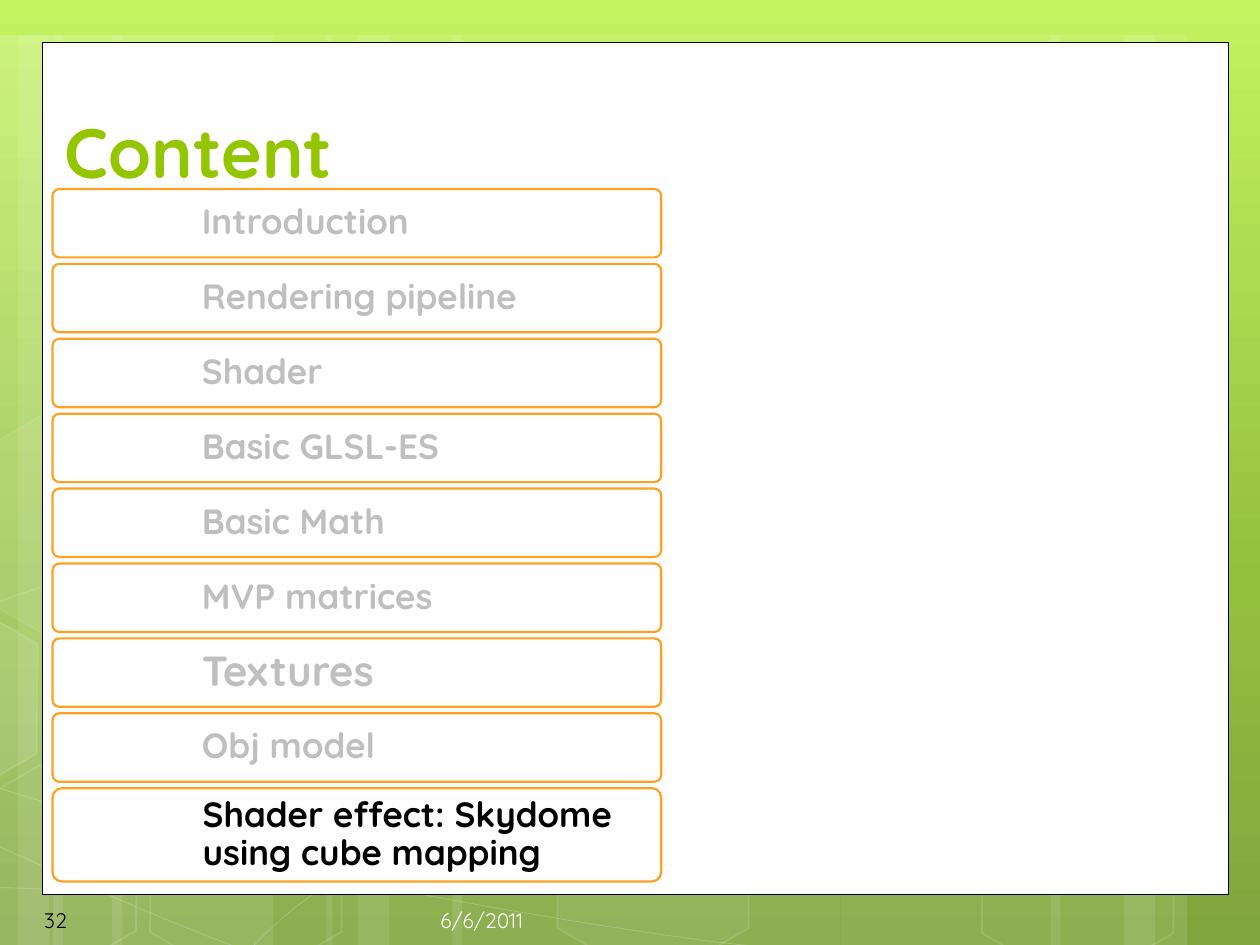
from copy import deepcopy
from typing import NamedTuple

from lxml import etree
from pptx import Presentation
from pptx.dml.color import RGBColor
from pptx.enum import shapes as kinds, text as txt
from pptx.oxml.ns import qn
from pptx.util import Cm, Pt

FONT = "Quicksand"
WHITE = RGBColor(0xFF, 0xFF, 0xFF)
BLACK = RGBColor(0, 0, 0)
GREEN = RGBColor(0x94, 0xC6, 0x00)
AMBER = RGBColor(0xFE, 0xA0, 0x22)
GREY = RGBColor(0xBF, 0xBF, 0xBF)
PALE = RGBColor(0xFE, 0xFE, 0xFE)
LIME = RGBColor(0xC3, 0xF3, 0x5F)
LEAF = RGBColor(0x93, 0xBF, 0x3F)
MOSS = RGBColor(0x81, 0xA5, 0x3E)

MID, LOW = txt.MSO_ANCHOR.MIDDLE, txt.MSO_ANCHOR.BOTTOM
LEFT, RIGHT = txt.PP_ALIGN.LEFT, txt.PP_ALIGN.RIGHT


class Band(NamedTuple):
    left: float
    width: float


class Hex(NamedTuple):
    left: float
    top: float
    fill: int  # opacity in percent, 0 for none
    line: int


class Item(NamedTuple):
    label: str
    size: int = 20
    color: RGBColor = GREY
    height: float = 1.38


BANDS = [Band(0, 1.27), Band(0, 0.99), Band(0.36, 2.11), Band(1.07, 4.44),
         Band(2.26, 4.44), Band(16.94, 4.44), Band(22.66, 1.27),
         Band(21.18, 2.11), Band(9.12, 7.82), Band(6.58, 1.27),
         Band(7.21, 2.11)]

# Each curve is a start point followed by three points per Bezier segment.
CURVES = [
    [(-1.5, 17.81), (-0.13, 17.88), (1.24, 17.98), (3.15, 17.93)],
    [(-1.5, 12.83), (-0.74, 12.45), (-0.02, 12.04), (1.4, 11.68)],
    [(-1.52, 16.38), (1.55, 17.78), (4.6, 19.18), (6.82, 19.76)],
    [(-1.5, 15.39), (-0.71, 15.67), (0.1, 15.95), (1.57, 16.36),
     (3.05, 16.76), (5.26, 17.37), (7.37, 17.81), (9.5, 18.24),
     (12.17, 18.69), (14.27, 18.97), (16.38, 19.23), (18.64, 19.33),
     (19.99, 19.43)],
    [(4.47, 19.76), (4.93, 19.25), (5.38, 18.75), (5.99, 18.26),
     (6.6, 17.81), (7.47, 17.3), (8.18, 16.94)],
]

CUT_HEX = [(-1.47, 12.01), (-1.19, 11.86), (0.76, 12.98), (0.74, 15.19),
           (-1.17, 16.31), (-1.47, 16.15)]

HEXES = [Hex(10.95, 15.67, 6, 12), Hex(-1.4, 15.72, 0, 12),
         Hex(-1.32, 8.64, 7, 8), Hex(2.74, 15.75, 0, 12),
         Hex(19.51, 15.77, 0, 12)]

ITEMS = [Item("Introduction"), Item("Rendering pipeline"), Item("Shader"),
         Item("Basic GLSL-ES"), Item("Basic Math"), Item("MVP matrices"),
         Item("Textures", size=24), Item("Obj model"),
         Item("Shader effect: Skydome using cube mapping",
              color=BLACK, height=1.88)]
LIST_TOP, PITCH = 3.81, 1.51


def fade(node, part: str, alpha: int) -> None:
    """Make the solid fill or line of a shape see-through."""
    for rgb in node.spPr.find(qn(part)).iter(qn("a:srgbClr")):
        etree.SubElement(rgb, qn("a:alpha")).set("val", str(alpha * 1000))


def paint(shape, fill=None, line=None, weight=1.0, fill_alpha=100,
          line_alpha=100):
    shape.shadow.inherit = False
    if fill is None:
        shape.fill.background()
    else:
        shape.fill.solid()
        shape.fill.fore_color.rgb = fill
        if fill_alpha < 100:
            fade(shape.element, "a:solidFill", fill_alpha)
    if line is None:
        shape.line.fill.background()
    else:
        shape.line.color.rgb = line
        shape.line.width = Pt(weight)
        if line_alpha < 100:
            fade(shape.element, "a:ln", line_alpha)
    return shape


def place(slide, kind, left: float, top: float, width: float, height: float):
    return slide.shapes.add_shape(kind, Cm(left), Cm(top), Cm(width), Cm(height))


def write(shape, words: str, size=12, color=BLACK, bold=False, align=LEFT,
          anchor=MID, inset=(0.25, 0.13, 0.25, 0.13), spacing=1.0) -> None:
    frame = shape.text_frame
    frame.word_wrap = True
    frame.auto_size = txt.MSO_AUTO_SIZE.NONE
    frame.vertical_anchor = anchor
    (frame.margin_left, frame.margin_top,
     frame.margin_right, frame.margin_bottom) = map(Cm, inset)
    para = frame.paragraphs[0]
    para.alignment, para.line_spacing = align, spacing
    run = para.add_run()
    run.text = words
    font = run.font
    font.name, font.size, font.bold = FONT, Pt(size), bold
    font.color.rgb = color


def trace(slide, points, close=False):
    spots = [(Cm(x), Cm(y)) for x, y in points]
    pen = slide.shapes.build_freeform(*spots[0])
    pen.add_line_segments(spots[1:], close=close)
    return pen.convert_to_shape()


def bend(points, steps=12):
    """Turn a chain of cubic Bezier segments into a fine run of points."""
    out = [points[0]]
    for i in range(0, len(points) - 1, 3):
        for n in range(1, steps + 1):
            t = n / steps
            rates = ((1 - t) ** 3, 3 * t * (1 - t) ** 2,
                     3 * t * t * (1 - t), t ** 3)
            out.append(tuple(sum(r * p[axis] for r, p in zip(rates, points[i:i + 4]))
                             for axis in (0, 1)))
    return out


def draw_back(slide) -> None:
    fill = slide.background.fill
    fill.gradient()
    fill.gradient_angle = 270
    stops = next(slide.element.iter(qn("a:gsLst")))
    stops.insert(1, deepcopy(stops[0]))
    for stop, color, spot in zip(fill.gradient_stops, (LIME, LEAF, MOSS),
                                 (0, 0.62, 1)):
        stop.color.rgb, stop.position = color, spot
    for band in BANDS:
        bar = place(slide, kinds.MSO_SHAPE.RECTANGLE, band.left, 0.71,
                    band.width, 18.34)
        paint(bar, WHITE, fill_alpha=10)
    for curve in CURVES:
        paint(trace(slide, bend(curve)), line=WHITE, weight=0.5, line_alpha=20)
    paint(trace(slide, CUT_HEX, close=True), WHITE, WHITE,
          fill_alpha=10, line_alpha=12)
    for cell in HEXES:
        shape = place(slide, kinds.MSO_SHAPE.HEXAGON, cell.left, cell.top, 4.44, 3.86)
        shape.adjustments[0] = 0.285
        shape.rotation = 30
        paint(shape, WHITE if cell.fill else None, WHITE,
              fill_alpha=cell.fill, line_alpha=cell.line)
    panel = place(slide, kinds.MSO_SHAPE.RECTANGLE, 0.85, 0.85, 23.91, 17.18)
    paint(panel, WHITE, BLACK, 0.5)


def draw_list(slide) -> None:
    for row, item in enumerate(ITEMS):
        box = place(slide, kinds.MSO_SHAPE.ROUNDED_RECTANGLE, 1.06,
                    LIST_TOP + row * PITCH, 12.27, item.height)
        box.adjustments[0] = 0.1
        paint(box, WHITE, AMBER, 1.25)
        write(box, item.label, size=item.size, color=item.color, bold=True,
              inset=(2.97, 0.13, 0.13, 0.13), spacing=0.9)


def main() -> None:
    deck = Presentation()
    deck.slide_width, deck.slide_height = Cm(25.4), Cm(19.05)
    slide = deck.slides.add_slide(deck.slide_layouts[5])
    draw_back(slide)

    title = slide.shapes.title
    title.left, title.top, title.width, title.height = map(Cm, (1.06, 0.85, 23.5, 3.17))
    write(title, "Content", size=40, color=GREEN, bold=True, anchor=LOW)
    slide.shapes.element.append(title.element)  # bring in front of the panel

    page = slide.shapes.add_textbox(Cm(0.64), Cm(18.03), Cm(3.7), Cm(1.02))
    write(page, "32")
    date = slide.shapes.add_textbox(Cm(4.87), Cm(18.03), Cm(5.93), Cm(1.02))
    write(date, "6/6/2011", color=PALE, align=RIGHT)
    draw_list(slide)
    deck.save("out.pptx")


if __name__ == "__main__":
    main()
